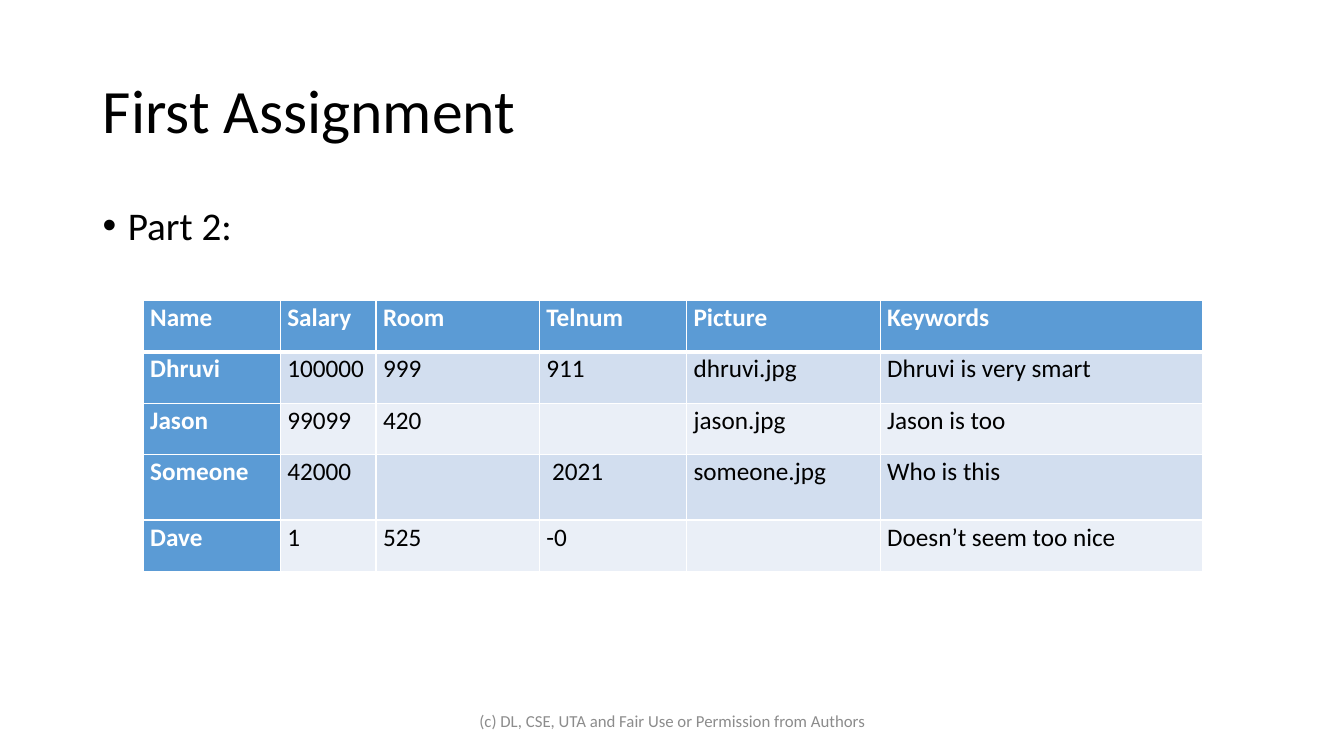
from dataclasses import dataclass

from lxml.etree import SubElement
from pptx import Presentation
from pptx.dml.color import RGBColor as RGB
from pptx.enum.text import MSO_ANCHOR as ANCHOR, MSO_AUTO_SIZE as AUTO, PP_ALIGN as ALIGN
from pptx.oxml.ns import qn
from pptx.util import Inches, Pt


@dataclass(frozen=True)
class Theme:
    """Font, colours and type sizes of the slide."""
    font: str = "Calibri"
    black: str = "000000"
    white: str = "FFFFFF"
    grey: str = "8C8C8C"
    accent: str = "5B9BD5"
    bands: tuple = ("D2DEEF", "EAEFF7")
    title: int = 44
    body: int = 28
    cell: int = 18
    footer: int = 12


def write(tf, text, size, color=Theme.black, bold=False, align=ALIGN.LEFT,
          spacing=1.0, before=0, anchor=ANCHOR.TOP):
    """Write one formatted paragraph into a text frame and return it."""
    tf.word_wrap = True
    tf.vertical_anchor = anchor
    p = tf.paragraphs[0]
    p.alignment, p.line_spacing, p.space_before = align, spacing, Pt(before)
    r = p.add_run()
    r.text = text
    r.font.name, r.font.size, r.font.bold = Theme.font, Pt(size), bold
    r.font.color.rgb = RGB.from_string(color)
    return p


def add_borders(cell, widths):
    """Draw white cell borders; widths maps a side (L, R, T, B) to points."""
    tcPr = cell._tc.get_or_add_tcPr()
    for side, width in widths.items():
        ln = SubElement(tcPr, qn(f"a:ln{side}"), w=str(Pt(width)))
        fill = SubElement(ln, qn("a:solidFill"))
        SubElement(fill, qn("a:srgbClr"), val=Theme.white)


prs = Presentation()
prs.slide_width, prs.slide_height = Inches(13.33), Inches(7.5)
s = prs.slides.add_slide(prs.slide_layouts.get_by_name("Title Only"))
margin, content_width = Inches(0.92), Inches(11.5)

# Title
title = s.shapes.title
title.left, title.top = margin, Inches(0.4)
title.width, title.height = content_width, Inches(1.45)
title.text_frame.auto_size = AUTO.NONE
write(title.text_frame, "First Assignment", Theme.title, spacing=0.9, anchor=ANCHOR.MIDDLE)

# Bulleted body
body = s.shapes.add_textbox(margin, Inches(2), content_width, Inches(4.76))
p = write(body.text_frame, "Part 2:", Theme.body, spacing=0.9, before=10)
pPr = p._p.get_or_add_pPr()
pPr.set("marL", str(Inches(0.25)))
pPr.set("indent", str(-Inches(0.25)))
SubElement(pPr, qn("a:buFont"), typeface="Arial")
SubElement(pPr, qn("a:buChar"), char="•")

# Staff table
staff = [
    ("Name", "Salary", "Room", "Telnum", "Picture", "Keywords"),
    ("Dhruvi", "100000", "999", "911", "dhruvi.jpg", "Dhruvi is very smart"),
    ("Jason", "99099", "420", "", "jason.jpg", "Jason is too"),
    ("Someone", "42000", "", "\u00a02021", "someone.jpg", "Who is this"),
    ("Dave", "1", "525", "-0", "", "Doesn’t seem too nice"),
]
col_widths = (1.36, 0.95, 1.62, 1.46, 1.92, 3.2)
row_heights = (0.51, 0.51, 0.51, 0.65, 0.51)
table = s.shapes.add_table(len(staff), len(col_widths), Inches(1.42), Inches(2.98),
                           Inches(sum(col_widths)), Inches(sum(row_heights))).table
table.first_col = True
for column, width in zip(table.columns, col_widths):
    column.width = Inches(width)

for i, (row, height) in enumerate(zip(staff, row_heights)):
    table.rows[i].height = Inches(height)
    for j, text in enumerate(row):
        cell = table.cell(i, j)
        header = i == 0 or j == 0
        add_borders(cell, {"L": 1, "R": 1, "T": 3 if i == 1 else 1, "B": 3 if i == 0 else 1})
        cell.fill.solid()
        cell.fill.fore_color.rgb = RGB.from_string(
            Theme.accent if header else Theme.bands[(i - 1) % 2])
        cell.margin_left = cell.margin_right = Inches(0.07)
        cell.margin_top = cell.margin_bottom = 0
        if text:
            write(cell.text_frame, text, Theme.cell, Theme.white if header else Theme.black,
                  bold=header, spacing=1.07)

# Footer
footer = s.shapes.add_textbox(Inches(4.42), Inches(6.95), Inches(4.5), Inches(0.4))
write(footer.text_frame, "(c) DL, CSE, UTA and Fair Use or Permission from Authors",
      Theme.footer, Theme.grey, align=ALIGN.CENTER, anchor=ANCHOR.MIDDLE)

prs.save("out.pptx")
